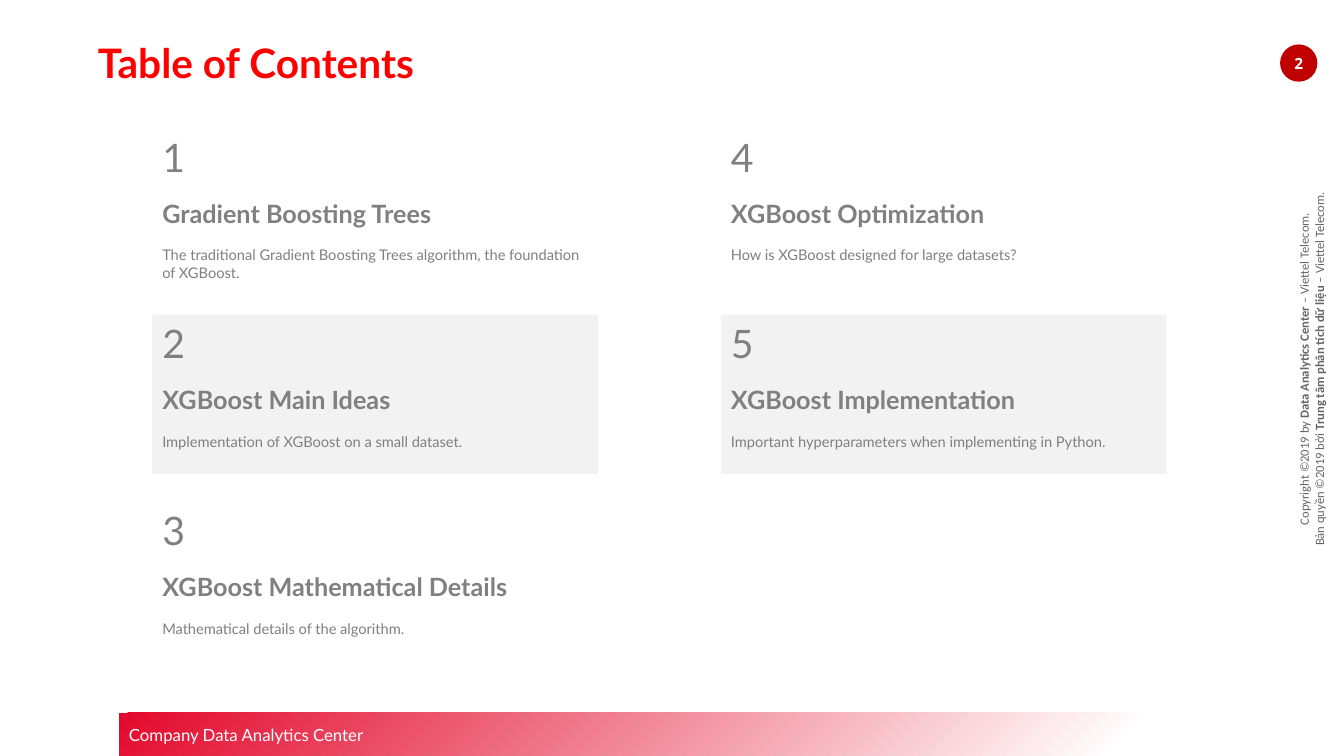
from dataclasses import dataclass

from lxml import etree
from pptx import Presentation
from pptx.dml.color import RGBColor
from pptx.enum.shapes import MSO_SHAPE
from pptx.enum.text import MSO_ANCHOR, MSO_AUTO_SIZE, PP_ALIGN
from pptx.oxml import parse_xml
from pptx.oxml.ns import nsdecls, qn
from pptx.util import Cm, Pt

RECT, OVAL = MSO_SHAPE.RECTANGLE, MSO_SHAPE.OVAL
TOP, MIDDLE = MSO_ANCHOR.TOP, MSO_ANCHOR.MIDDLE
LEFT, CENTER = PP_ALIGN.LEFT, PP_ALIGN.CENTER
NO_FIT = MSO_AUTO_SIZE.NONE

WHITE, RED, DARK_RED = "FFFFFF", "FF0000", "C00000"
CRIMSON, GRAY, INK, PALE = "E3092C", "808080", "666666", "F2F2F2"

# Card grid, in centimetres
CARD_X, CARD_Y = 3.84, 3.23
CARD_W, CARD_H = 11.23, 4.01
STEP_X, STEP_Y = 14.33, 4.7
ROWS = 3
CARD_GAP = 12.8  # points between the lines of a card


@dataclass
class Topic:
    title: str
    note: str


TOPICS = [
    Topic("Gradient Boosting Trees",
          "The traditional Gradient Boosting Trees algorithm, the foundation of XGBoost."),
    Topic("XGBoost Main Ideas", "Implementation of XGBoost on a small dataset."),
    Topic("XGBoost Mathematical Details", "Mathematical details of the algorithm."),
    Topic("XGBoost Optimization", "How is XGBoost designed for large datasets?"),
    Topic("XGBoost Implementation", "Important hyperparameters when implementing in Python."),
]

RIGHTS = [
    ("Copyright ©2019 by ", "Data Analytics Center", " – Viettel Telecom."),
    ("Bản quyền ©2019 bởi ", "Trung tâm phân tích dữ liệu ", "– Viettel Telecom."),
]


def color(code: str) -> RGBColor:
    return RGBColor.from_string(code)


def write(par, text: str, *, size: float, ink: str = GRAY, face: str = "Lato",
          bold: bool = False, align=LEFT, gap: float = 0) -> None:
    """Add a run to a paragraph and set its format."""
    run = par.add_run()
    run.text = text
    run.font.name = face
    run.font.size = Pt(size)
    run.font.bold = bold
    run.font.color.rgb = color(ink)
    par.alignment = align
    par.space_before = Pt(gap)


def add_box(slide, left: float, top: float, width: float, height: float, *,
            kind=None, fill: str = "", anchor=TOP):
    """Add a filled shape, or a text box when no kind is given."""
    place = Cm(left), Cm(top), Cm(width), Cm(height)
    if kind is None:
        box = slide.shapes.add_textbox(*place)
    else:
        box = slide.shapes.add_shape(kind, *place)
        box.shadow.inherit = False
        box.line.fill.background()
        box.fill.solid()
        box.fill.fore_color.rgb = color(fill)
    box.text_frame.word_wrap = True
    box.text_frame.vertical_anchor = anchor
    return box


def fade(box) -> None:
    """Swap a solid fill for a glow that spreads from the lower right corner."""
    grad = parse_xml(f'<a:gradFill {nsdecls("a")} rotWithShape="1"><a:gsLst/>'
                     '<a:path path="circle"><a:fillToRect l="100000" t="100000"/></a:path>'
                     '</a:gradFill>')
    for spot, code in ((0, WHITE), (18, WHITE), (100, CRIMSON)):
        stop = etree.SubElement(grad[0], qn("a:gs"), pos=str(spot * 1000))
        etree.SubElement(stop, qn("a:srgbClr"), val=code)
    solid = box.element.spPr.find(qn("a:solidFill"))
    solid.getparent().replace(solid, grad)


def add_card(slide, index: int, topic: Topic) -> None:
    col, row = divmod(index, ROWS)
    shade = {"kind": RECT, "fill": PALE} if row == 1 else {}
    box = add_box(slide, CARD_X + col * STEP_X, CARD_Y + row * STEP_Y,
                  CARD_W, CARD_H, **shade)
    frame = box.text_frame
    write(frame.paragraphs[0], str(index + 1), size=28)
    write(frame.add_paragraph(), topic.title, size=18, bold=True, gap=CARD_GAP)
    write(frame.add_paragraph(), topic.note, size=10.5, gap=CARD_GAP)


def add_title(slide, text: str) -> None:
    title = slide.shapes.title
    title.left, title.top, title.width, title.height = Cm(2.21), Cm(0.89), Cm(26.6), Cm(1.42)
    frame = title.text_frame
    frame.auto_size = NO_FIT
    frame.vertical_anchor = TOP
    par = frame.paragraphs[0]
    write(par, text, size=29, ink=RED, bold=True)
    par.line_spacing = Pt(33)


def add_rights(slide) -> None:
    box = add_box(slide, 27.2, 8.79, 11.71, 1.02)
    box.rotation = 270
    frame = box.text_frame
    for index, parts in enumerate(RIGHTS):
        par = frame.add_paragraph() if index else frame.paragraphs[0]
        for spot, part in enumerate(parts):
            write(par, part, size=9, ink=INK, face="Calibri", bold=spot == 1, align=CENTER)


def add_badge(slide, number: int) -> None:
    badge = add_box(slide, 32.26, 1.12, 0.94, 0.94, kind=OVAL, fill=DARK_RED, anchor=MIDDLE)
    frame = badge.text_frame
    frame.margin_left = frame.margin_right = frame.margin_top = frame.margin_bottom = 0
    write(frame.paragraphs[0], str(number), size=11, ink=WHITE, face="Open Sans",
          bold=True, align=CENTER)


def main() -> None:
    deck = Presentation()
    deck.slide_width, deck.slide_height = Cm(33.87), Cm(19.05)
    slide = deck.slides.add_slide(deck.slide_layouts[5])

    # Frame of the page
    band = add_box(slide, 3, 17.96, 30.87, 1.09, kind=RECT, fill=CRIMSON, anchor=MIDDLE)
    fade(band)
    write(band.text_frame.paragraphs[0], "Company Data Analytics Center", size=12, ink=WHITE)
    add_rights(slide)
    add_badge(slide, 2)

    # Contents
    add_title(slide, "Table of Contents")
    for index, topic in enumerate(TOPICS):
        add_card(slide, index, topic)

    deck.save("out.pptx")


if __name__ == "__main__":
    main()
